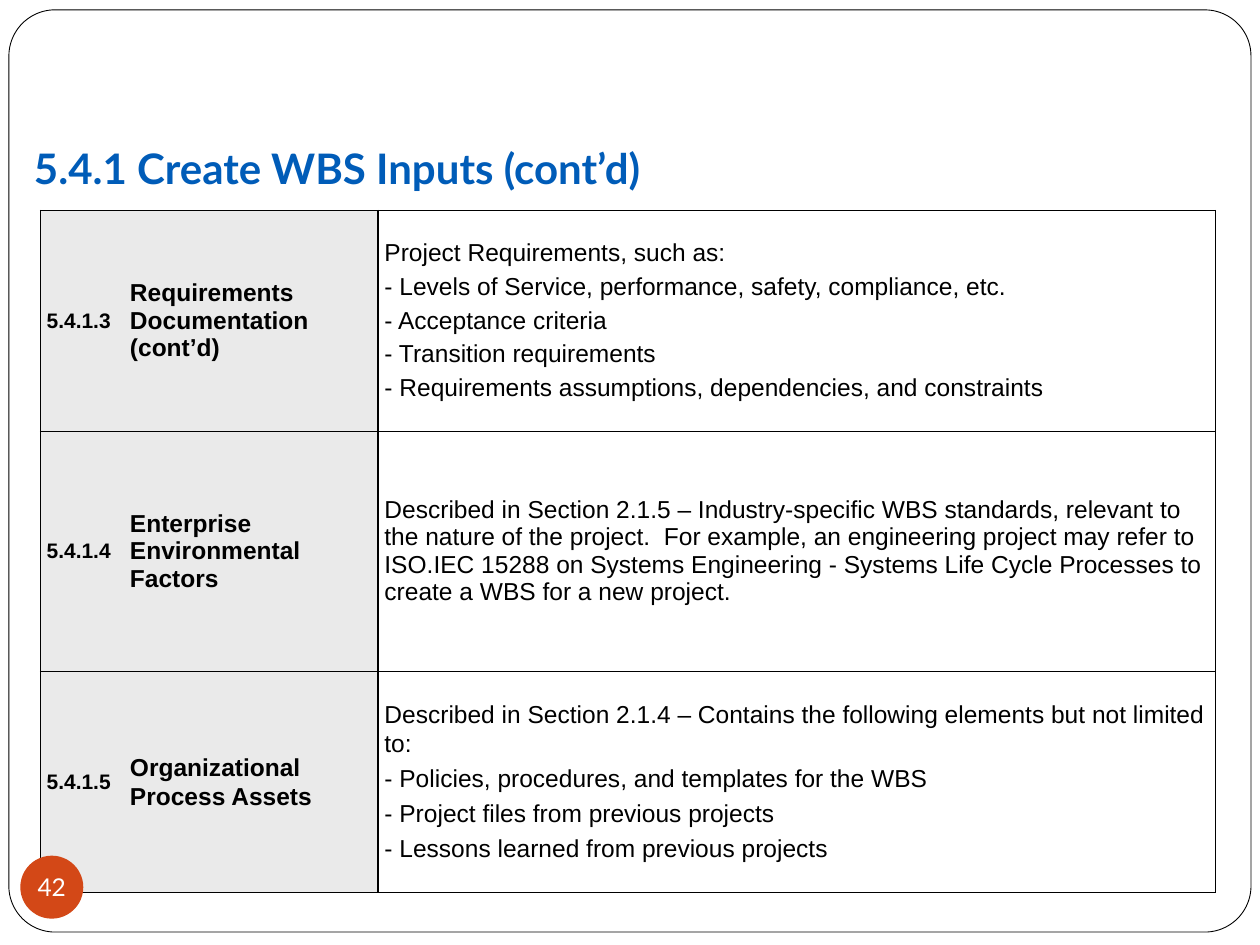
"""Build the slide on Create WBS inputs with its three-row table."""
from pptx import Presentation
from pptx.dml.color import RGBColor
from pptx.enum.shapes import MSO_SHAPE as Kind
from pptx.enum.text import MSO_ANCHOR as Anchor, MSO_AUTO_SIZE as Fit, PP_ALIGN as Align
from pptx.oxml import parse_xml
from pptx.oxml.ns import nsdecls
from pptx.util import Cm, Pt


def style(font, size, tint, bold=False, name="Arial"):
    """Set the look of a font."""
    font.size, font.bold, font.name = Pt(size), bold, name
    font.color.rgb = RGBColor.from_string(tint)


def edge(cell, side, width):
    """Add one border to a cell, or an empty one for zero width."""
    fill = '<a:solidFill><a:srgbClr val="000000"/></a:solidFill>' if width else "<a:noFill/>"
    cell._tc.get_or_add_tcPr().append(parse_xml(
        f'<a:ln{side} {nsdecls("a")} w="{Pt(width)}">{fill}</a:ln{side}>'))


deck = Presentation()
deck.slide_width, deck.slide_height = Cm(25.4), Cm(19.05)
slide = deck.slides.add_slide(deck.slide_layouts[5])
shapes = slide.shapes

title = shapes.title
title.left, title.top, title.width, title.height = Cm(0.43), Cm(2.74), Cm(24.13), Cm(1.27)
text = title.text_frame
text.text = "5.4.1 Create WBS Inputs (cont’d)"
text.auto_size, text.vertical_anchor = Fit.NONE, Anchor.TOP
text.paragraphs[0].alignment = Align.LEFT
style(text.paragraphs[0].runs[0].font, 24, "005CB8", True, "Lato")

frame = shapes.add_shape(Kind.ROUNDED_RECTANGLE, Cm(0.18), Cm(0.2), Cm(25.04), Cm(18.59))
frame.adjustments[0] = 0.05
frame.shadow.inherit = False
frame.fill.solid()
frame.fill.fore_color.rgb = RGBColor.from_string("FFFFFF")
frame.line.color.rgb = RGBColor.from_string("000000")
frame.line.width = Pt(0.5)
title.element.addprevious(frame.element)

rows = [
    ("5.4.1.3", "Requirements Documentation (cont’d)", [
        "Project Requirements, such as:",
        "- Levels of Service, performance, safety, compliance, etc.",
        "- Acceptance criteria",
        "- Transition requirements",
        "- Requirements assumptions, dependencies, and constraints"], 4.45, 1),
    ("5.4.1.4", "Enterprise Environmental Factors", [
        "Described in Section 2.1.5 – Industry-specific WBS standards, relevant to "
        "the nature of the project.  For example, an engineering project may refer to "
        "ISO.IEC 15288 on Systems Engineering - Systems Life Cycle Processes to "
        "create a WBS for a new project."], 4.84, 1),
    ("5.4.1.5", "Organizational Process Assets", [
        "Described in Section 2.1.4 – Contains the following elements but not limited to:",
        "- Policies, procedures, and templates for the WBS",
        "- Project files from previous projects",
        "- Lessons learned from previous projects"], 4.45, 1.05),
]
table = shapes.add_table(3, 3, Cm(0.81), Cm(4.24), Cm(23.7), Cm(13.74)).table
table.first_row = table.horz_banding = False
for col, width in zip(table.columns, (1.68, 5.13, 16.89)):
    col.width = Cm(width)
sides = [(0.5, 0), (0, 1), (1, 0.5)]
for row, (code, name, lines, height, pitch) in enumerate(rows):
    table.rows[row].height = Cm(height)
    for col, items in enumerate(([code], [name], lines)):
        cell = table.cell(row, col)
        for side, width in zip("LRTB", (*sides[col], 0.5, 0.5)):
            edge(cell, side, width)
        if col < 2:
            cell.fill.solid()
            cell.fill.fore_color.rgb = RGBColor.from_string("EAEAEA")
        else:
            cell.fill.background()
        cell.vertical_anchor = Anchor.MIDDLE
        cell.margin_left = cell.margin_right = Cm(0.13)
        cell.margin_top = cell.margin_bottom = Cm(0.13)
        for spot, item in enumerate(items):
            para = cell.text_frame.add_paragraph() if spot else cell.text_frame.paragraphs[0]
            para.text = item
            para.line_spacing = float(pitch)
            para.space_before = Pt(3.5 if spot else 0)
            style(para.runs[0].font, 14 if col else 12, "000000", col < 2)

badge = shapes.add_shape(Kind.OVAL, Cm(0.41), Cm(17.25), Cm(1.27), Cm(1.27))
badge.shadow.inherit = False
badge.fill.solid()
badge.fill.fore_color.rgb = RGBColor.from_string("D34817")
badge.line.fill.background()
text = badge.text_frame
text.text = "42"
text.word_wrap, text.vertical_anchor = False, Anchor.MIDDLE
text.margin_left = text.margin_right = text.margin_top = text.margin_bottom = 0
text.paragraphs[0].alignment = Align.CENTER
style(text.paragraphs[0].runs[0].font, 14, "FFFFFF", name="Lato")

deck.save("out.pptx")
